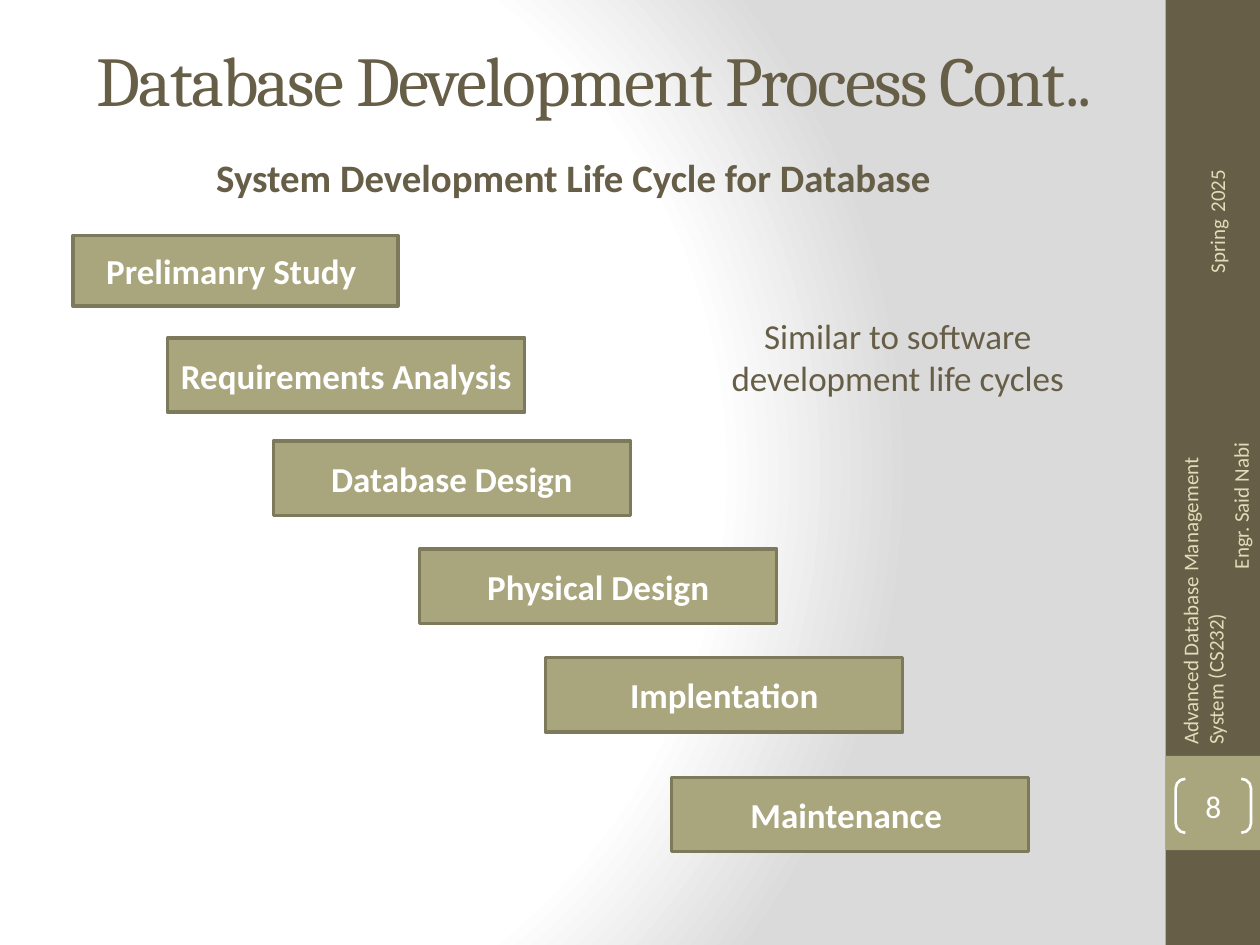
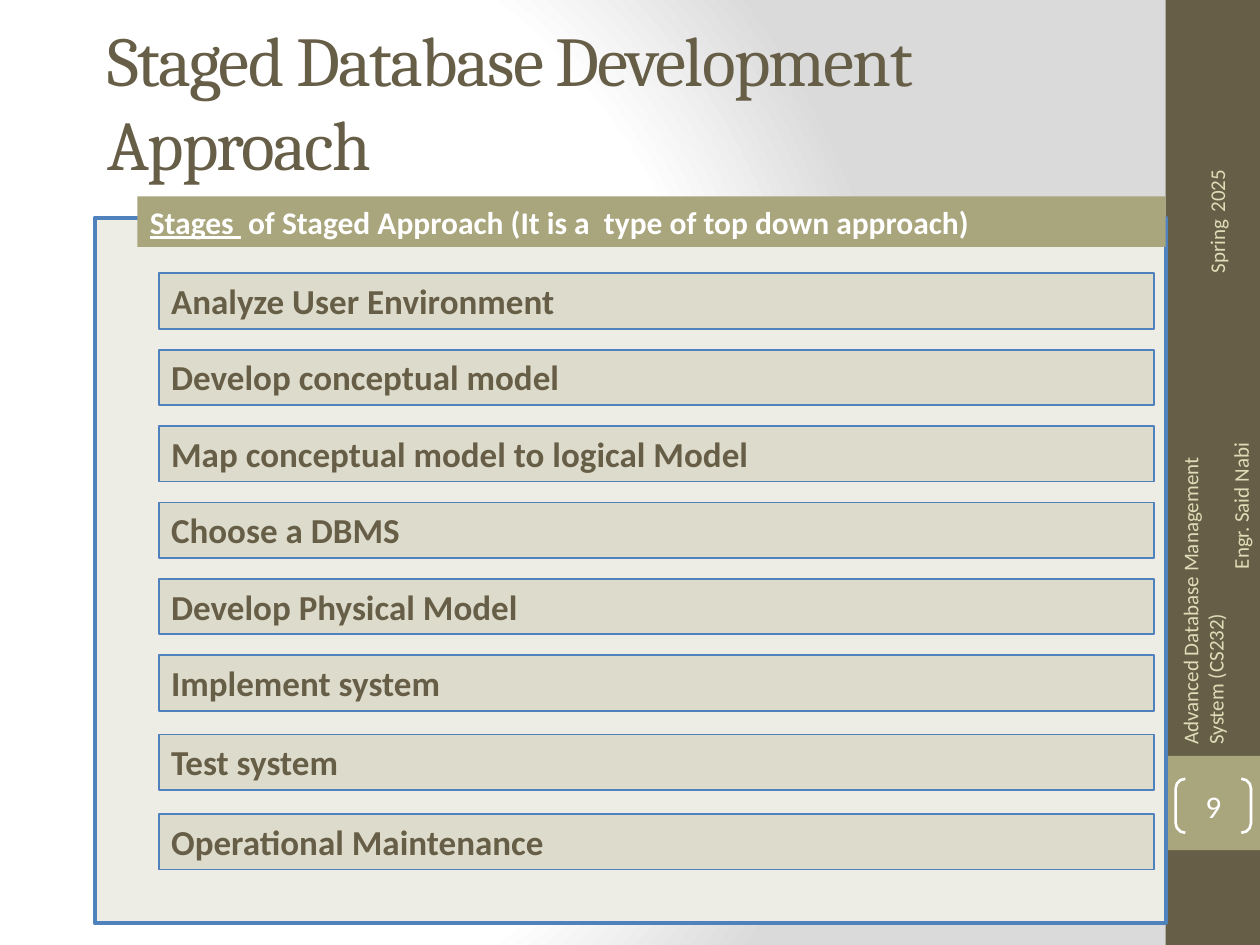
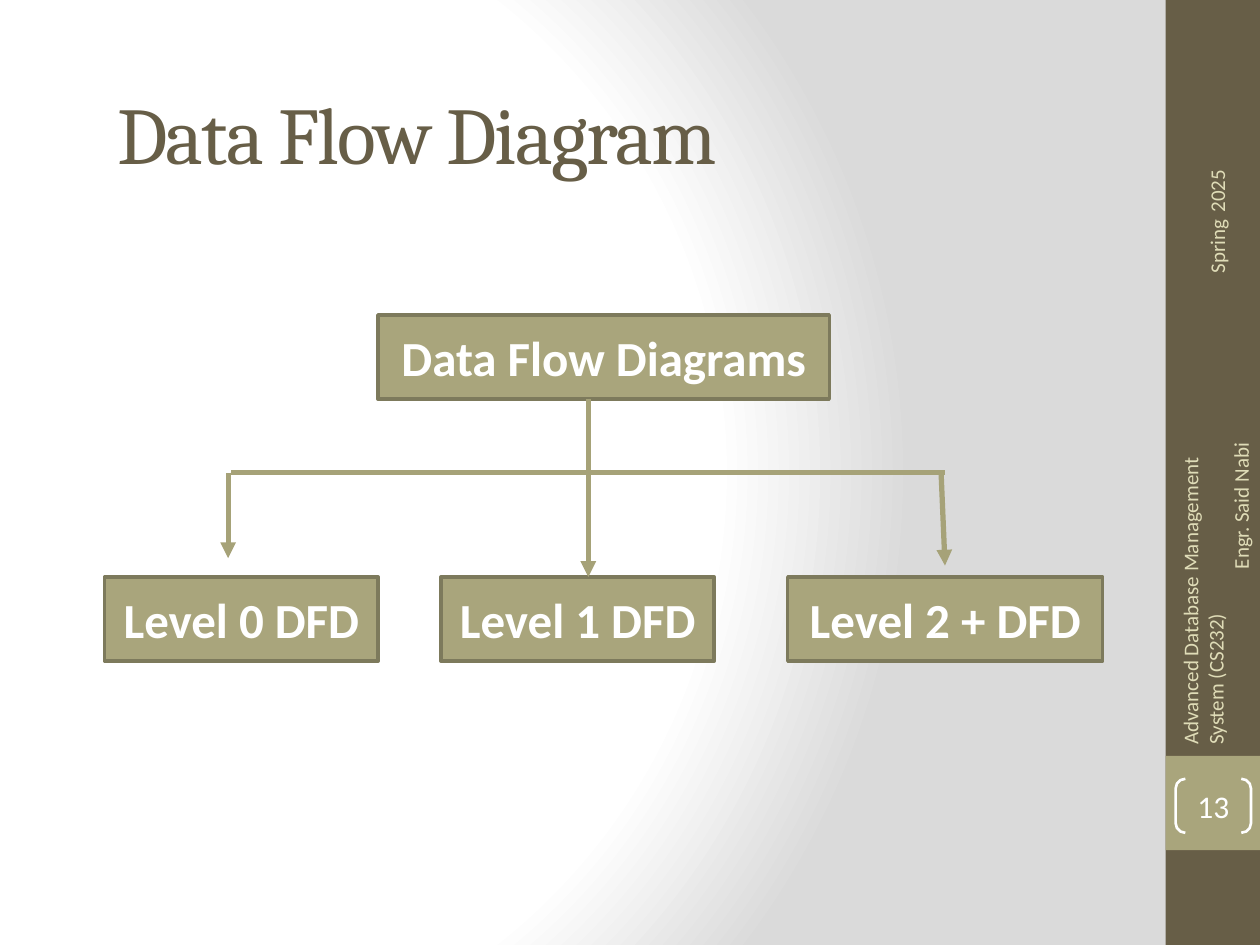
from typing import NamedTuple, Optional

from lxml import etree
from pptx import Presentation
from pptx.dml.color import RGBColor
from pptx.enum.shapes import MSO_CONNECTOR, MSO_SHAPE, PP_PLACEHOLDER
from pptx.enum.text import MSO_ANCHOR, MSO_AUTO_SIZE, PP_ALIGN
from pptx.oxml import parse_xml
from pptx.oxml.ns import nsdecls, qn
from pptx.shapes.autoshape import Shape
from pptx.slide import Slide, SlideLayout
from pptx.text.text import _Paragraph as Paragraph
from pptx.util import Cm, Pt

BROWN = RGBColor(0x67, 0x5E, 0x47)
OLIVE = RGBColor(0xA9, 0xA5, 0x7C)
OLIVE_EDGE = RGBColor(0x7D, 0x7A, 0x5C)
OLIVE_ARROW = RGBColor(0xA6, 0xA2, 0x78)
CREAM = RGBColor(0xDF, 0xDC, 0xB7)
PANEL = RGBColor(0xEE, 0xED, 0xE5)
STAGE = RGBColor(0xDD, 0xDB, 0xCB)
BLUE = RGBColor(0x4F, 0x81, 0xBD)
WHITE = RGBColor(0xFF, 0xFF, 0xFF)

HEADING_FONT = "Cambria"
BODY_FONT = "Calibri"
TITLE_ONLY = 5

LEFT, CENTER, RIGHT = PP_ALIGN.LEFT, PP_ALIGN.CENTER, PP_ALIGN.RIGHT
TOP, MIDDLE = MSO_ANCHOR.TOP, MSO_ANCHOR.MIDDLE
NO_AUTOFIT, GROW = MSO_AUTO_SIZE.NONE, MSO_AUTO_SIZE.SHAPE_TO_FIT_TEXT
RECTANGLE, BRACKETS = MSO_SHAPE.RECTANGLE, MSO_SHAPE.DOUBLE_BRACKET
STRAIGHT = MSO_CONNECTOR.STRAIGHT
TITLE = PP_PLACEHOLDER.TITLE

BACKGROUND = f"""<p:bg {nsdecls("p", "a")}><p:bgPr>
<a:gradFill rotWithShape="1"><a:gsLst>
<a:gs pos="0"><a:srgbClr val="FFFFFF"/></a:gs>
<a:gs pos="75000"><a:srgbClr val="FFFFFF"/></a:gs>
<a:gs pos="100000"><a:srgbClr val="DADADA"/></a:gs>
</a:gsLst><a:path path="circle">
<a:fillToRect l="20000" t="50000" r="100000" b="50000"/>
</a:path></a:gradFill><a:effectLst/></p:bgPr></p:bg>"""


class Area(NamedTuple):
    """A place on the slide, in centimetres."""
    left: float
    top: float
    width: float
    height: float

    def lengths(self) -> list[Cm]:
        return [Cm(value) for value in self]


class Box(NamedTuple):
    text: str
    area: Area


class Arm(NamedTuple):
    """A connector of the tree, in centimetres."""
    start: tuple[float, float]
    end: tuple[float, float]
    arrow: bool = False


LIFE_CYCLE = [
    Box("Prelimanry Study ", Area(1.47, 4.75, 6.55, 1.42)),
    Box("Requirements Analysis", Area(3.38, 6.81, 7.2, 1.5)),
    Box("Database Design", Area(5.51, 8.89, 7.2, 1.5)),
    Box("Physical Design", Area(8.46, 11.07, 7.2, 1.5)),
    Box("Implentation", Area(11, 13.26, 7.2, 1.5)),
    Box("Maintenance ", Area(13.54, 15.67, 7.2, 1.5)),
]

STAGES = [
    "Analyze User Environment",
    "Develop conceptual model",
    "Map conceptual model to logical Model",
    "Choose a DBMS",
    "Develop Physical Model",
    "Implement system",
    "Test system",
    "Operational Maintenance",
]

DIAGRAM_LEVELS = [
    Box("Data Flow Diagrams", Area(7.62, 6.35, 9.1, 1.7)),
    Box("Level 0 DFD", Area(2.11, 11.63, 5.51, 1.7)),
    Box("Level 1 DFD", Area(8.89, 11.63, 5.51, 1.7)),
    Box("Level 2 + DFD", Area(15.88, 11.63, 6.35, 1.7)),
]

DIAGRAM_ARMS = [
    Arm((11.86, 8.05), (11.86, 11.63), arrow=True),
    Arm((11.86, 9.53), (4.65, 9.53)),
    Arm((19.05, 9.53), (11.86, 9.53)),
    Arm((18.97, 9.5), (19.05, 11.4), arrow=True),
    Arm((4.6, 9.53), (4.6, 11.25), arrow=True),
]


def format_paragraph(paragraph: Paragraph, size: float, color: RGBColor,
                     align: PP_ALIGN = LEFT, bold: bool = False,
                     font_name: str = BODY_FONT) -> None:
    paragraph.alignment = align
    font = paragraph.font
    font.name = font_name
    font.size = Pt(size)
    font.bold = bold
    font.color.rgb = color


def add_panel(slide: Slide, area: Area, fill: Optional[RGBColor] = None,
              edge: Optional[RGBColor] = None, edge_width: float = 1,
              kind: MSO_SHAPE = RECTANGLE) -> Shape:
    shape = slide.shapes.add_shape(kind, *area.lengths())
    shape.shadow.inherit = False
    if fill is None:
        shape.fill.background()
    else:
        shape.fill.solid()
        shape.fill.fore_color.rgb = fill
    if edge is None:
        shape.line.fill.background()
    else:
        shape.line.color.rgb = edge
        shape.line.width = Pt(edge_width)
    return shape


def add_olive_box(slide: Slide, box: Box, size: float) -> None:
    shape = add_panel(slide, box.area, OLIVE, OLIVE_EDGE, 2)
    shape.text_frame.text = box.text
    format_paragraph(shape.text_frame.paragraphs[0], size, WHITE, CENTER, bold=True)


def add_text(slide: Slide, area: Area) -> Shape:
    shape = slide.shapes.add_textbox(*area.lengths())
    shape.text_frame.word_wrap = True
    return shape


def add_caption(slide: Slide, area: Area, text: str, size: float,
                bold: bool = False) -> None:
    frame = add_text(slide, area).text_frame
    frame.text = text
    paragraph = frame.paragraphs[0]
    format_paragraph(paragraph, size, BROWN, CENTER, bold)
    paragraph.space_before = Pt(0.2 * size)
    paragraph.space_after = Pt(6)


def add_arm(slide: Slide, arm: Arm) -> None:
    ends = [Cm(value) for value in (*arm.start, *arm.end)]
    connector = slide.shapes.add_connector(STRAIGHT, *ends)
    connector.line.color.rgb = OLIVE_ARROW
    connector.line.width = Pt(3)
    properties = connector.element.spPr
    if arm.arrow:
        etree.SubElement(properties.find(qn("a:ln")), qn("a:tailEnd"), type="triangle")
    etree.SubElement(properties, qn("a:effectLst"))


def decorate_layout(layout: SlideLayout, slide: Slide) -> None:
    """Draw the side band on the slide, then move it to the layout."""
    layout.element.cSld.insert(0, parse_xml(BACKGROUND))
    for placeholder in list(layout.placeholders):
        if placeholder.placeholder_format.type != TITLE:
            layout.shapes.element.remove(placeholder.element)

    band = add_panel(slide, Area(23.5, 0, 1.9, 19.05), BROWN)
    number_square = add_panel(slide, Area(23.5, 15.24, 1.9, 1.9), OLIVE)

    course = add_text(slide, Area(21.21, 11.46, 6.58, 1.02))
    course.rotation = 270
    frame = course.text_frame
    frame.vertical_anchor = MIDDLE
    frame.text = "Advanced Database Management System (CS232)\nEngr. Said Nabi"
    for paragraph, align in zip(frame.paragraphs, (LEFT, RIGHT)):
        format_paragraph(paragraph, 12, CREAM, align)

    term = add_text(slide, Area(23.14, 3.94, 2.62, 1.02))
    term.rotation = 270
    term.text_frame.word_wrap = False
    term.text_frame.auto_size = GROW
    paragraph = term.text_frame.paragraphs[0]
    format_paragraph(paragraph, 12, CREAM)
    for text, size in (("Spring", 12), (" ", 18), ("2025", 12)):
        run = paragraph.add_run()
        run.text = text
        run.font.size = Pt(size)

    for shape in (band, number_square, course, term):
        layout.shapes.element.append(shape.element)


def set_title(slide: Slide, text: str, area: Area, size: float) -> None:
    title = slide.shapes.title
    title.left, title.top, title.width, title.height = area.lengths()
    frame = title.text_frame
    frame.text = text
    frame.word_wrap = True
    frame.auto_size = NO_AUTOFIT
    frame.vertical_anchor = MIDDLE
    paragraph = frame.paragraphs[0]
    format_paragraph(paragraph, size, BROWN, font_name=HEADING_FONT)
    paragraph.runs[0]._r.get_or_add_rPr().set("spc", "-100")


def add_page_number(slide: Slide, number: int) -> None:
    shape = add_panel(slide, Area(23.7, 15.7, 1.52, 1.09), edge=WHITE,
                      edge_width=1.5, kind=BRACKETS)
    shape.adjustments[0] = 0.18
    frame = shape.text_frame
    frame.margin_left = frame.margin_right = 0
    frame.margin_top = frame.margin_bottom = 0
    frame.vertical_anchor = MIDDLE
    frame.text = str(number)
    format_paragraph(frame.paragraphs[0], 18, WHITE, CENTER)


def fill_life_cycle(slide: Slide) -> None:
    set_title(slide, "Database Development Process Cont..", Area(1.7, 0, 22.71, 3.18), 40)
    add_page_number(slide, 8)
    add_caption(slide, Area(13.54, 6.22, 9.12, 3.84),
                "Similar to software development life cycles", 20)
    for box in LIFE_CYCLE:
        add_olive_box(slide, box, 20)
    add_caption(slide, Area(1.7, 2.97, 19.91, 1.12),
                "System Development Life Cycle for Database ", 22.2, bold=True)


def fill_stages(slide: Slide) -> None:
    set_title(slide, "Staged Database Development Approach",
              Area(1.91, 0.43, 21.79, 3.18), 40)
    add_page_number(slide, 9)
    add_panel(slide, Area(1.91, 4.39, 21.59, 14.22), PANEL, BLUE, 2.25)

    header = add_panel(slide, Area(2.77, 3.96, 20.73, 1.02), OLIVE)
    paragraph = header.text_frame.paragraphs[0]
    format_paragraph(paragraph, 18, WHITE, bold=True)
    for text, underlined in (
        ("Stages ", True),
        (" of Staged Approach (It is a  type of top down approach)", False),
    ):
        run = paragraph.add_run()
        run.text = text
        run.font.underline = underlined

    for index, stage in enumerate(STAGES):
        # The last two stages stand slightly further apart.
        top = 5.51 + 1.54 * index + 0.06 * max(0, index - 5)
        bar = add_panel(slide, Area(3.2, top, 20.07, 1.12), STAGE, BLUE)
        bar.text_frame.vertical_anchor = TOP
        bar.text_frame.text = stage
        format_paragraph(bar.text_frame.paragraphs[0], 20, BROWN, bold=True)


def fill_data_flow(slide: Slide) -> None:
    set_title(slide, "Data Flow Diagram", Area(2.11, 1.07, 21.16, 3.18), 46)
    add_page_number(slide, 13)
    for box in DIAGRAM_LEVELS:
        add_olive_box(slide, box, 28)
    for arm in DIAGRAM_ARMS:
        add_arm(slide, arm)


def main() -> None:
    presentation = Presentation()
    presentation.slide_width = Cm(25.4)
    presentation.slide_height = Cm(19.05)
    layout = presentation.slide_layouts[TITLE_ONLY]
    slides = [presentation.slides.add_slide(layout) for _ in range(3)]
    decorate_layout(layout, slides[0])
    for fill_slide, slide in zip((fill_life_cycle, fill_stages, fill_data_flow), slides):
        fill_slide(slide)
    presentation.save("out.pptx")


if __name__ == "__main__":
    main()
